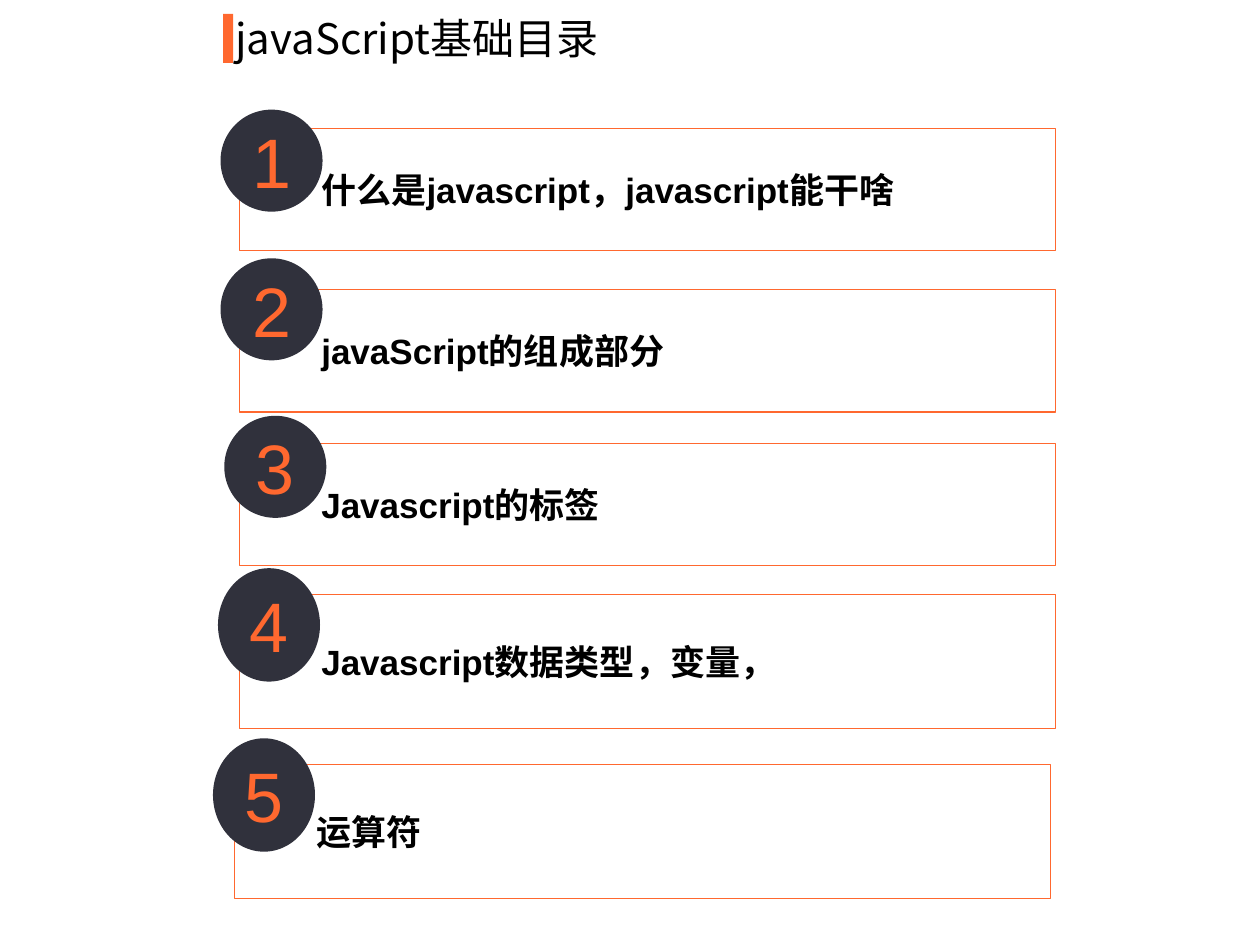
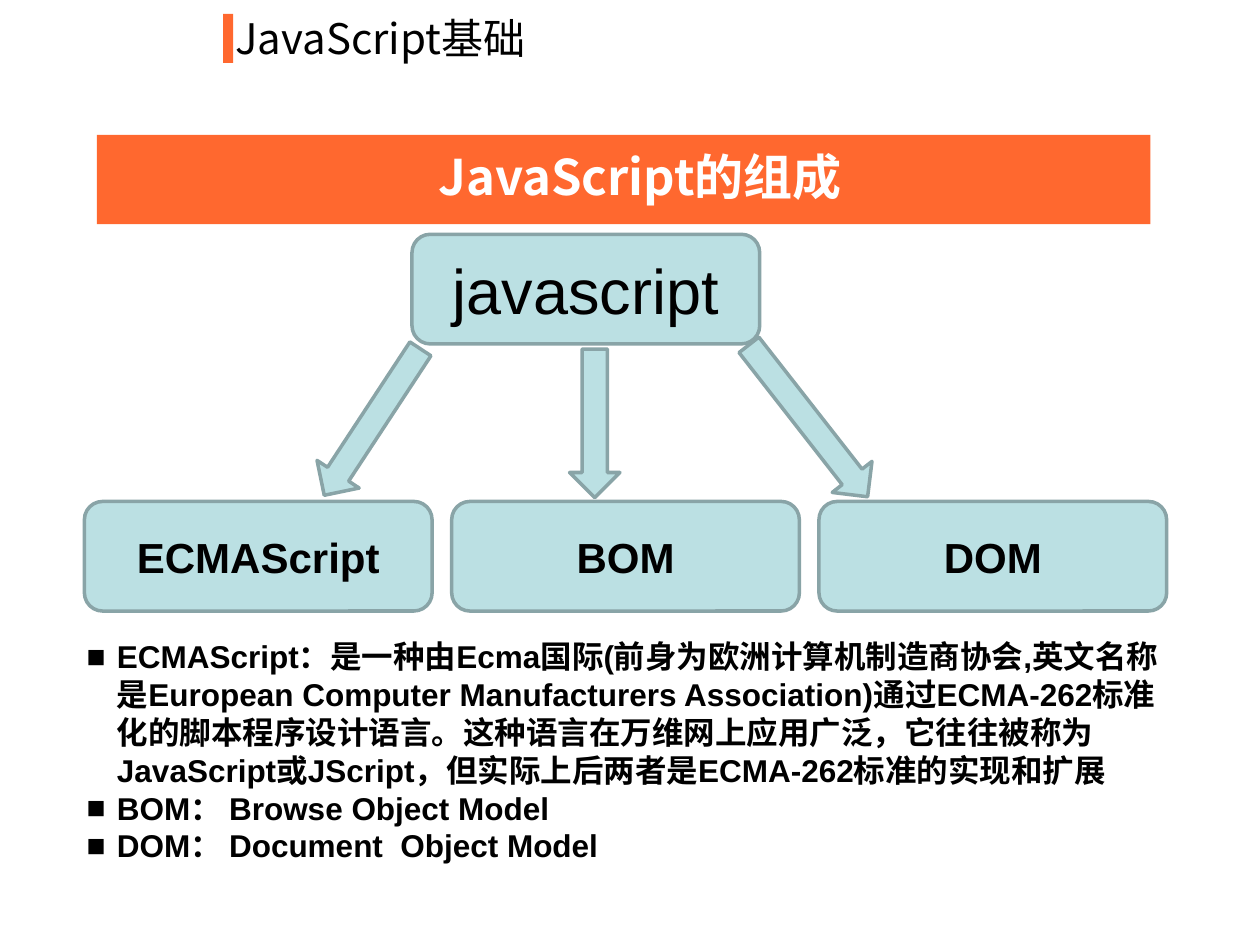
import pptx
import pptx.dml.color
import pptx.enum.shapes
import pptx.enum.text
import pptx.oxml.ns
import pptx.util
from lxml import etree

SHAPES = pptx.enum.shapes.MSO_SHAPE
ALIGN = pptx.enum.text.PP_ALIGN
ANCHOR = pptx.enum.text.MSO_ANCHOR

# Theme: colours, fonts, type sizes, line widths and text insets
THEME = {
    "orange": "FF682F", "dark": "30313C", "pale": "BBE0E3", "edge": "89A4A7",
    "white": "FFFFFF", "black": "000000",
    "latin": "Arial", "chinese": "Noto Sans CJK SC",
    "title": 24, "banner": 28, "number": 40, "item": 20,
    "root": 36, "branch": 24, "body": 18,
    "thin": 0.75, "thick": 2,
    "insets": (1, 0.5, 1, 0.5), "item_insets": (6.5, 0.8, 0.8, 0.8),
}

# Grid: 100 columns by 75 rows
SLIDE_WIDTH = pptx.util.Inches(10)
SLIDE_HEIGHT = pptx.util.Inches(7.5)
COLUMN = SLIDE_WIDTH / 100
ROW = SLIDE_HEIGHT / 75

# Agenda rows: text, box (left, top, height), circle (left, top, width, height)
AGENDA_WIDTH = 64.8
AGENDA = [
    ("什么是javascript，javascript能干啥", (19, 10.2, 9.7), (17.5, 8.7, 8.1, 8.1)),
    ("javaScript的组成部分", (19, 23, 9.7), (17.5, 20.5, 8.1, 8.1)),
    ("Javascript的标签", (19, 35.2, 9.7), (17.8, 33, 8.1, 8.1)),
    ("Javascript数据类型，变量，", (19, 47.2, 10.6), (17.3, 45.1, 8.1, 9)),
    ("运算符", (18.6, 60.7, 10.6), (16.9, 58.6, 8.1, 9)),
]

# Composition diagram: equal branches, and arrows as (box, rotation)
BRANCHES = ["ECMAScript", "BOM", "DOM"]
BRANCH_LEFT, BRANCH_TOP, BRANCH_STEP = 6.7, 39.8, 29.15
NODE_SIZE = (27.6, 8.7)
ARROWS = [
    ((22.6, 31.5, 13.9, 4), 123.3),
    ((56.5, 31.4, 15.3, 4), 52),
    ((41.3, 31.6, 11.8, 4), 90),
]
DEFINITIONS = [
    "ECMAScript：是一种由Ecma国际(前身为欧洲计算机制造商协会,英文名称是"
    "European Computer Manufacturers Association)通过ECMA-262标准化的脚本程序设计语言。"
    "这种语言在万维网上应用广泛，它往往被称为JavaScript或JScript，"
    "但实际上后两者是ECMA-262标准的实现和扩展",
    "BOM： Browse Object Model",
    "DOM： Document  Object Model",
]


def color(name):
    return pptx.dml.color.RGBColor.from_string(THEME[name])


def place(box):
    """Turn grid columns and rows into slide lengths."""
    left, top, width, height = box
    return (round(left * COLUMN), round(top * ROW),
            round(width * COLUMN), round(height * ROW))


def set_attributes(target, values):
    for name, value in values.items():
        setattr(target, name, value)


def add_child(parent, tag, **attributes):
    return etree.SubElement(parent, pptx.oxml.ns.qn(tag), attributes)


def write(shape, lines, size, ink="black", bold=False, align=ALIGN.LEFT,
          anchor=ANCHOR.MIDDLE, font="latin", insets="insets"):
    """Fill a shape with one paragraph for each line."""
    left, top, right, bottom = (round(inset * COLUMN) for inset in THEME[insets])
    frame = shape.text_frame
    set_attributes(frame, {
        "word_wrap": True, "vertical_anchor": anchor,
        "margin_left": left, "margin_top": top,
        "margin_right": right, "margin_bottom": bottom,
    })
    for index, line in enumerate(lines):
        paragraph = frame.add_paragraph() if index else frame.paragraphs[0]
        paragraph.alignment = align
        run = paragraph.add_run()
        run.text = line
        set_attributes(run.font, {
            "name": THEME[font], "size": pptx.util.Pt(THEME[size]), "bold": bold,
        })
        run.font.color.rgb = color(ink)
        add_child(run.font._element, "a:ea", typeface=THEME["chinese"])


def add_block(slide, kind, box, fill, line=None, weight="thin", rotation=0):
    """Add a flat preset shape, outlined only when a line colour is given."""
    shape = slide.shapes.add_shape(kind, *place(box))
    shape.shadow.inherit = False
    shape.rotation = rotation
    shape.fill.solid()
    shape.fill.fore_color.rgb = color(fill)
    if line:
        shape.line.color.rgb = color(line)
        shape.line.width = pptx.util.Pt(THEME[weight])
    else:
        shape.line.fill.background()
    return shape


def add_text(slide, box, lines, size, **style):
    shape = slide.shapes.add_textbox(*place(box))
    write(shape, lines, size, anchor=ANCHOR.TOP, **style)
    return shape


def add_titled_slide(presentation, title, width):
    """Add a blank slide with the orange bar and its title."""
    slide = presentation.slides.add_slide(presentation.slide_layouts[6])
    add_block(slide, SHAPES.RECTANGLE, (17.7, 1.1, 0.8, 3.9), "orange")
    add_text(slide, (17.7, 0.5, width, 5), [title], "title", font="chinese")
    return slide


def add_agenda_item(slide, number, text, box, circle):
    left, top, height = box
    frame = add_block(slide, SHAPES.RECTANGLE, (left, top, AGENDA_WIDTH, height),
                      "white", "orange")
    fill_color = frame.fill._xPr.find(".//" + pptx.oxml.ns.qn("a:srgbClr"))
    add_child(fill_color, "a:alpha", val="40000")
    write(frame, [text], "item", bold=True, insets="item_insets")
    badge = add_block(slide, SHAPES.OVAL, circle, "dark")
    write(badge, [str(number)], "number", ink="orange", align=ALIGN.CENTER)


def add_node(slide, left, top, text, size, bold):
    node = add_block(slide, SHAPES.ROUNDED_RECTANGLE, (left, top, *NODE_SIZE),
                     "pale", "edge", "thick")
    write(node, [text], size, bold=bold, align=ALIGN.CENTER)


def add_bullets(shape):
    hanging = round(2.4 * COLUMN)
    for paragraph in shape.text_frame.paragraphs:
        properties = paragraph._p.get_or_add_pPr()
        properties.set("marL", str(hanging))
        properties.set("indent", str(-hanging))
        bullet_color = add_child(properties, "a:buClr")
        add_child(bullet_color, "a:srgbClr", val=THEME["black"])
        add_child(properties, "a:buFont", typeface=THEME["latin"])
        add_child(properties, "a:buChar", char="■")


def build_agenda(presentation):
    slide = add_titled_slide(presentation, "javaScript基础目录", 33.9)
    for number, (text, box, circle) in enumerate(AGENDA, start=1):
        add_agenda_item(slide, number, text, box, circle)


def build_composition(presentation):
    slide = add_titled_slide(presentation, "JavaScript基础", 26)

    # Banner
    add_block(slide, SHAPES.RECTANGLE, (7.7, 10.7, 83.6, 7.1), "orange")
    add_text(slide, (13, 11.1, 75.6, 5.7), ["JavaScript的组成"], "banner",
             ink="white", bold=True, align=ALIGN.CENTER, font="chinese")

    # Root, branches and arrows
    add_node(slide, 32.7, 18.6, "javascript", "root", bold=False)
    for index, text in enumerate(BRANCHES):
        add_node(slide, BRANCH_LEFT + index * BRANCH_STEP, BRANCH_TOP, text,
                 "branch", bold=True)
    for box, rotation in ARROWS:
        add_block(slide, SHAPES.RIGHT_ARROW, box, "pale", "edge", "thick", rotation)

    # Definitions
    add_bullets(add_text(slide, (5.9, 50.1, 87.4, 19), DEFINITIONS, "body", bold=True))


def main():
    presentation = pptx.Presentation()
    set_attributes(presentation, {
        "slide_width": SLIDE_WIDTH, "slide_height": SLIDE_HEIGHT,
    })
    build_agenda(presentation)
    build_composition(presentation)
    presentation.save("out.pptx")


if __name__ == "__main__":
    main()
